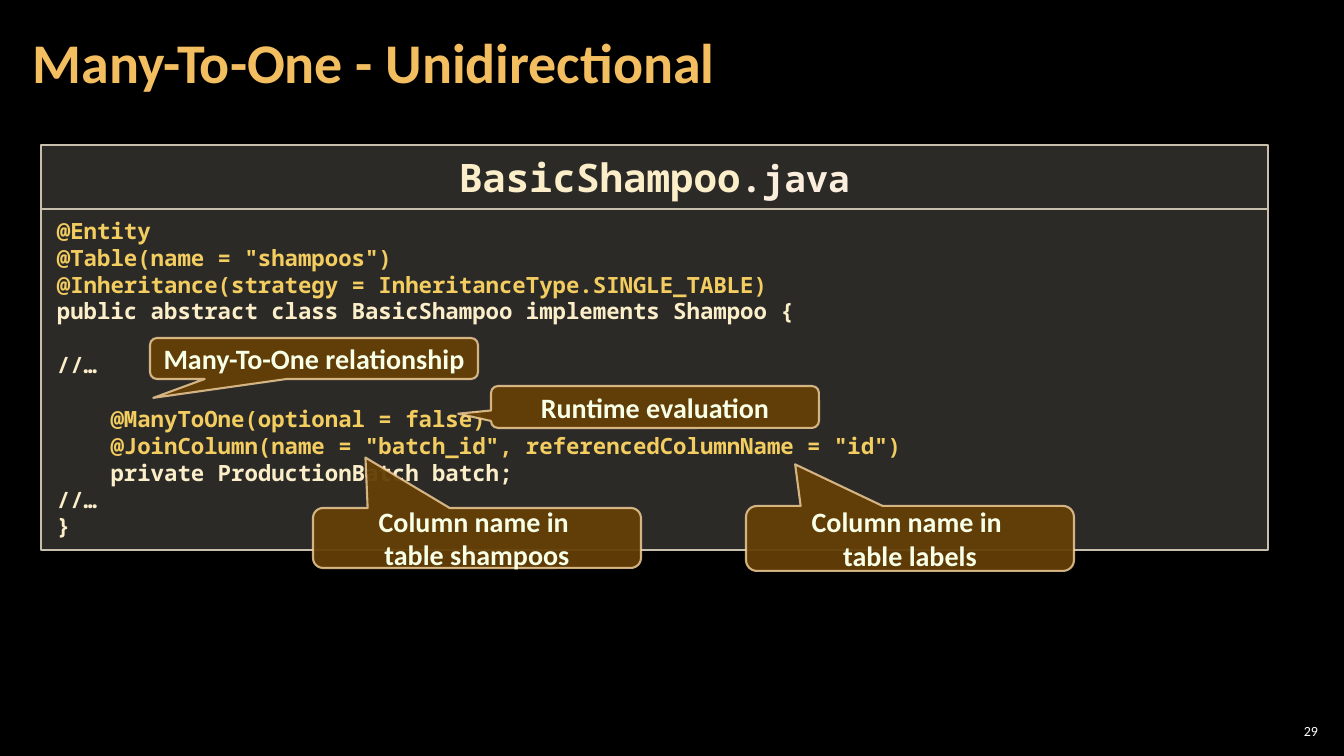
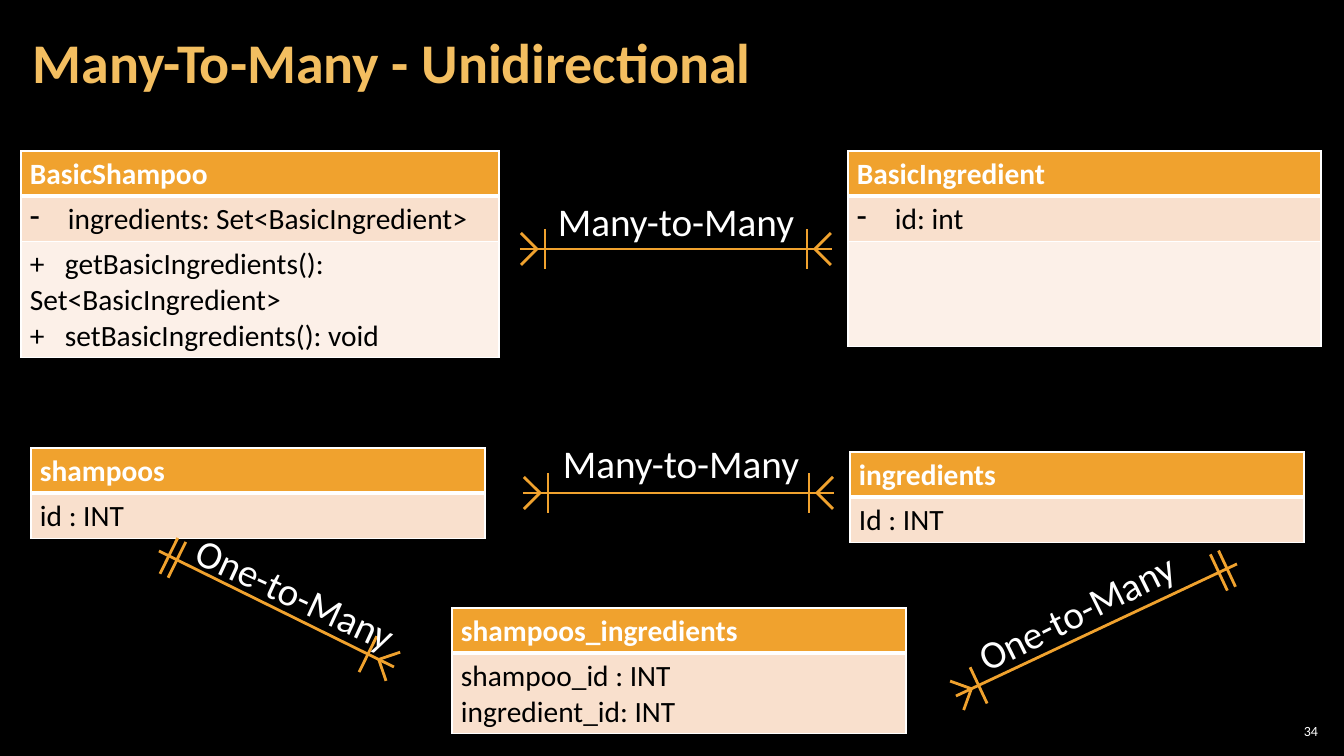
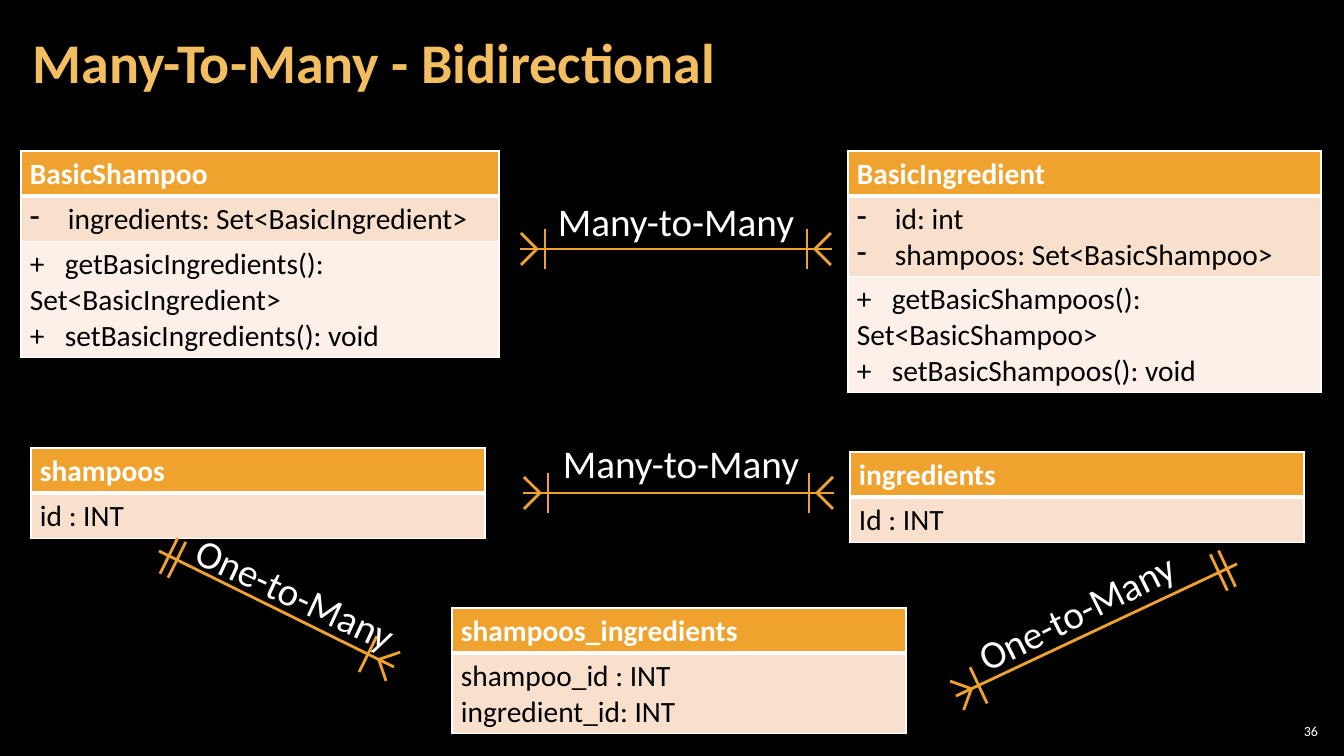
from dataclasses import dataclass
from math import hypot
from typing import Optional

from lxml.etree import SubElement
from pptx import Presentation
from pptx.dml.color import RGBColor
from pptx.enum.shapes import MSO_CONNECTOR as Connector, MSO_SHAPE as Preset
from pptx.enum.text import MSO_ANCHOR as Anchor, MSO_AUTO_SIZE as AutoSize, PP_ALIGN as Align
from pptx.oxml.ns import qn
from pptx.util import Emu, Pt

WIDTH, HEIGHT = 1344, 756
EMU_PER_PX = 12192000 / WIDTH


@dataclass(frozen=True)
class Theme:
    background: str = "000000"
    white: str = "FFFFFF"
    black: str = "000000"
    title: str = "F3BE60"
    accent: str = "F0A22E"
    row_fills: tuple = ("F0A22E", "F9E0CD", "FCF0E8")
    panel: str = "D9D5C7"
    panel_line: str = "C7BFAC"
    annotation: str = "F3CD60"
    code: str = "FBEEC9"
    extension: str = "FBEEDC"
    callout: str = "643F07"
    callout_line: str = "F8D49E"
    callout_text: str = "F7FFE7"
    font: str = "Calibri"
    mono: str = "Noto Sans Mono"
    title_size: int = 40
    label_size: int = 28
    file_size: int = 28
    extension_size: int = 26
    table_size: int = 21
    callout_size: int = 20
    code_size: int = 16
    number_size: int = 10
    mono_leading: float = 1.2


THEME = Theme()


@dataclass(frozen=True)
class Callout:
    text: str
    box: tuple
    tip: tuple


@dataclass(frozen=True)
class ClassTable:
    left: int
    top: int
    width: int
    rows: tuple  # one tuple of lines for each row
    heights: tuple = (42, 45, 105)


@dataclass(frozen=True)
class Relation:
    label: str
    label_box: tuple
    start: tuple  # always a "many" end
    end: tuple
    end_is_many: bool = True
    rotation: float = 0
    bar: int = 25


CODE = (
    ("@Entity", True),
    ('@Table(name = "shampoos")', True),
    ("@Inheritance(strategy = InheritanceType.SINGLE_TABLE)", True),
    ("public abstract class BasicShampoo implements Shampoo {", False),
    ("", False),
    ("//…", False),
    ("", False),
    ("    @ManyToOne(optional = false)", True),
    ('    @JoinColumn(name = "batch_id", referencedColumnName = "id")', True),
    ("    private ProductionBatch batch;", False),
    ("//…", False),
    ("}", False),
)

CALLOUTS = (
    Callout("Many-To-One relationship", (150, 338, 328, 41), (-0.49, 0.96)),
    Callout("Runtime evaluation", (491, 386, 328, 42), (-0.6, 0.16)),
    Callout("Column name in \ntable shampoos", (313, 508, 328, 60), (-0.34, -1.34)),
    Callout("Column name in \ntable labels", (746, 506, 328, 65), (-0.35, -1.14)),
)

SHAMPOO_CLASS = ClassTable(21, 151, 478, (
    ("BasicShampoo",),
    ("- ingredients: Set<BasicIngredient>",),
    ("+ getBasicIngredients(): Set<BasicIngredient>", "+ setBasicIngredients(): void"),
))

DATABASE_TABLES = (
    ClassTable(31, 448, 454, (("shampoos",), ("id : INT",))),
    ClassTable(850, 452, 454, (("ingredients",), ("Id : INT",))),
    ClassTable(452, 608, 454, (("shampoos_ingredients",), ("shampoo_id : INT\ningredient_id: INT",))),
)

RELATIONS = (
    Relation("Many-to-Many", (548, 192, 260, 57), (520, 249), (832, 249)),
    Relation("Many-to-Many", (553, 434, 260, 57), (523, 493), (834, 493)),
    Relation("One-to-Many", (959, 582, 236, 57), (956, 696), (1237, 564), False, 333.5),
    Relation("One-to-Many", (179, 565, 236, 57), (394, 667), (159, 551), False, 24.9, 29),
)


def px(value: float) -> Emu:
    return Emu(round(value * EMU_PER_PX))


def place(box: tuple) -> list:
    return [px(value) for value in box]


def rgb(color: str) -> RGBColor:
    return RGBColor.from_string(color)


# Text

def write(paragraph, text: str, *, size: float, color: str, font: str = THEME.font,
          bold: bool = False, align: Optional[Align] = None, leading: Optional[float] = None) -> None:
    """Append formatted text; a newline becomes a line break."""
    for index, part in enumerate(text.split("\n")):
        if index:
            paragraph.add_line_break()
        run = paragraph.add_run()
        run.text = part
        run.font.size, run.font.name, run.font.bold = Pt(size), font, bold
        run.font.color.rgb = rgb(color)
    if align is not None:
        paragraph.alignment = align
    if leading is not None:
        paragraph.line_spacing = leading


def set_margins(holder, horizontal: int, vertical: int) -> None:
    holder.margin_left = holder.margin_right = px(horizontal)
    holder.margin_top = holder.margin_bottom = px(vertical)


def add_text_box(slide, box: tuple, margins: tuple):
    shape = slide.shapes.add_textbox(*place(box))
    frame = shape.text_frame
    frame.word_wrap = True
    frame.vertical_anchor = Anchor.MIDDLE
    set_margins(frame, *margins)
    return shape


def next_paragraph(frame, index: int):
    return frame.add_paragraph() if index else frame.paragraphs[0]


# Slide frame

def add_slide(presentation, title: str, number: int):
    slide = presentation.slides.add_slide(presentation.slide_layouts[6])
    title_box = add_text_box(slide, (21, 4, 1055, 122), (12, 4))
    write(title_box.text_frame.paragraphs[0], title, size=THEME.title_size,
          color=THEME.title, bold=True, leading=0.9)
    number_box = add_text_box(slide, (1275, 720, 47, 21), (4, 4))
    write(number_box.text_frame.paragraphs[0], str(number), size=THEME.number_size,
          color=THEME.white, align=Align.RIGHT)
    return slide


# Code panel and callouts

def set_opacity(shape, query: str, percent: int) -> None:
    for color in shape._element.spPr.xpath(query):
        SubElement(color, qn("a:alpha")).set("val", str(percent * 1000))


def add_filled(slide, preset, box: tuple, fill: str, opacity: int, line: str, line_width: float):
    shape = slide.shapes.add_shape(preset, *place(box))
    shape.shadow.inherit = False
    shape.fill.solid()
    shape.fill.fore_color.rgb = rgb(fill)
    set_opacity(shape, "./a:solidFill/a:srgbClr", opacity)
    shape.line.color.rgb = rgb(line)
    shape.line.width = Pt(line_width)
    shape.text_frame.word_wrap = True
    return shape


def add_panel(slide, top: int, height: int):
    shape = add_filled(slide, Preset.RECTANGLE, (41, top, 1227, height),
                       THEME.panel, 20, THEME.panel_line, 1)
    shape.text_frame.vertical_anchor = Anchor.TOP
    set_margins(shape.text_frame, 16, 8)
    return shape.text_frame


def add_code(slide) -> None:
    frame = add_panel(slide, 209, 341)
    leading = Pt(THEME.code_size * THEME.mono_leading)
    gap, count = False, 0
    for text, is_annotation in CODE:
        if not text:
            gap = True
            continue
        paragraph = next_paragraph(frame, count)
        write(paragraph, text, size=THEME.code_size, font=THEME.mono, bold=True, align=Align.LEFT,
              color=THEME.annotation if is_annotation else THEME.code, leading=leading)
        if gap:
            paragraph.space_before = leading
        gap, count = False, count + 1

    heading = add_panel(slide, 145, 64).paragraphs[0]
    for text, size, color in (("BasicShampoo", THEME.file_size, THEME.code),
                              (".java", THEME.extension_size, THEME.extension)):
        write(heading, text, size=size, color=color, font=THEME.mono, bold=True,
              align=Align.CENTER, leading=Pt(THEME.file_size * THEME.mono_leading))


def add_callout(slide, callout: Callout) -> None:
    shape = add_filled(slide, Preset.ROUNDED_RECTANGULAR_CALLOUT, callout.box,
                       THEME.callout, 95, THEME.callout_line, 1.5)
    set_opacity(shape, "./a:ln/a:solidFill/a:srgbClr", 80)
    shape.adjustments[0], shape.adjustments[1] = callout.tip
    shape.text_frame.vertical_anchor = Anchor.MIDDLE
    write(shape.text_frame.paragraphs[0], callout.text, size=THEME.callout_size,
          color=THEME.callout_text, bold=True, align=Align.CENTER)


# Class and database tables

def set_borders(cell, bottom: int) -> None:
    properties = cell._tc.get_or_add_tcPr()
    for side, width in (("L", 1), ("R", 1), ("T", 1), ("B", bottom)):
        line = SubElement(properties, qn(f"a:ln{side}"), w=str(Pt(width)))
        fill = SubElement(line, qn("a:solidFill"))
        SubElement(fill, qn("a:srgbClr"), val=THEME.white)


def format_member(paragraph, text: str) -> str:
    """Turn a leading - into a bullet and a leading + into a tabbed sign."""
    properties = paragraph._p.get_or_add_pPr()
    if text.startswith("- "):
        properties.set("marL", str(px(38)))
        properties.set("indent", str(px(-38)))
        SubElement(properties, qn("a:buChar"), char="-")
        return text[2:]
    if text.startswith("+ "):
        tabs = SubElement(properties, qn("a:tabLst"))
        SubElement(tabs, qn("a:tab"), pos=str(px(35)), algn="l")
        return "+\t" + text[2:]
    return text


def add_class_table(slide, model: ClassTable) -> None:
    heights = model.heights[:len(model.rows)]
    box = (model.left, model.top, model.width, sum(heights))
    table = slide.shapes.add_table(len(model.rows), 1, *place(box)).table
    table.horz_banding = False
    for index, (lines, height) in enumerate(zip(model.rows, heights)):
        is_header = index == 0
        table.rows[index].height = px(height)
        cell = table.cell(index, 0)
        set_margins(cell, 9, 5)
        set_borders(cell, 3 if is_header else 1)
        cell.fill.solid()
        cell.fill.fore_color.rgb = rgb(THEME.row_fills[index])
        for position, line in enumerate(lines):
            paragraph = next_paragraph(cell.text_frame, position)
            write(paragraph, format_member(paragraph, line), size=THEME.table_size, bold=is_header,
                  color=THEME.white if is_header else THEME.black)


# Relations

def add_line(slide, start: tuple, end: tuple) -> None:
    connector = slide.shapes.add_connector(Connector.STRAIGHT, *place(start + end))
    connector.line.color.rgb = rgb(THEME.accent)
    connector.line.width = Pt(2)
    SubElement(connector._element.spPr, qn("a:effectLst"))


def add_end_mark(slide, tip: tuple, other: tuple, is_many: bool, bar: int) -> None:
    """Draw a crow's foot with one bar, or two bars, at the tip of a line."""
    length = hypot(other[0] - tip[0], other[1] - tip[1])
    along_x, along_y = (other[0] - tip[0]) / length, (other[1] - tip[1]) / length

    def point(along: float, across: float) -> tuple:
        return (tip[0] + along * along_x - across * along_y,
                tip[1] + along * along_y + across * along_x)

    if is_many:
        for side in (-16, 16):
            add_line(slide, point(17, 0), point(1, side))
    for distance in (bar,) if is_many else (11, 20):
        add_line(slide, point(distance, -20), point(distance, 20))


def add_relation(slide, relation: Relation) -> None:
    add_line(slide, relation.start, relation.end)
    add_end_mark(slide, relation.start, relation.end, True, relation.bar)
    add_end_mark(slide, relation.end, relation.start, relation.end_is_many, relation.bar)
    label = add_text_box(slide, relation.label_box, (10, 5))
    label.text_frame.word_wrap = False
    label.text_frame.auto_size = AutoSize.SHAPE_TO_FIT_TEXT
    label.text_frame.vertical_anchor = Anchor.TOP
    label.rotation = relation.rotation
    write(label.text_frame.paragraphs[0], relation.label, size=THEME.label_size, color=THEME.white)


# Slides

def build_many_to_one(presentation) -> None:
    slide = add_slide(presentation, "Many-To-One - Unidirectional", 29)
    add_code(slide)
    for callout in CALLOUTS:
        add_callout(slide, callout)


def build_many_to_many(presentation, direction: str, number: int,
                       attributes: tuple, methods: tuple) -> None:
    slide = add_slide(presentation, f"Many-To-Many - {direction}", number)
    ingredient_class = ClassTable(848, 151, 473, (("BasicIngredient",), attributes, methods))
    for model in (SHAMPOO_CLASS, ingredient_class, *DATABASE_TABLES):
        add_class_table(slide, model)
    for relation in RELATIONS:
        add_relation(slide, relation)


def main() -> None:
    presentation = Presentation()
    presentation.slide_width, presentation.slide_height = px(WIDTH), px(HEIGHT)
    background = presentation.slide_master.background.fill
    background.solid()
    background.fore_color.rgb = rgb(THEME.background)

    build_many_to_one(presentation)
    build_many_to_many(presentation, "Unidirectional", 34, ("- id: int",), ())
    build_many_to_many(presentation, "Bidirectional", 36,
                       ("- id: int", "- shampoos: Set<BasicShampoo>"),
                       ("+ getBasicShampoos(): Set<BasicShampoo>", "+ setBasicShampoos(): void"))
    presentation.save("out.pptx")


if __name__ == "__main__":
    main()
